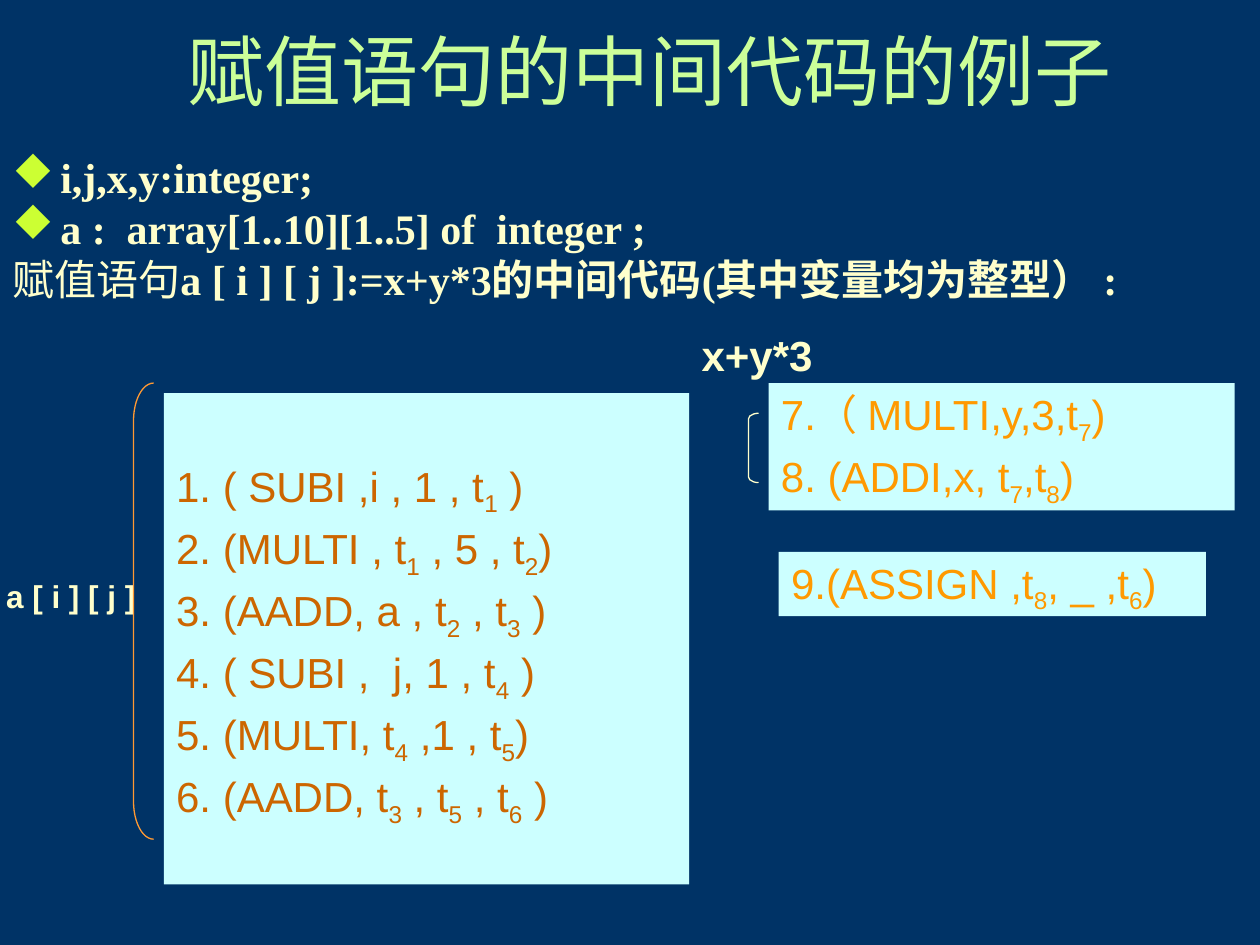
from lxml import etree
from pptx import Presentation
from pptx import util as u
from pptx.dml import color as c
from pptx.enum import shapes, text
from pptx.oxml import ns

COLORS = {
    "navy": "003366",
    "cream": "FFFFCC",
    "lime": "CCFF33",
    "pale_green": "CCFF99",
    "pale_cyan": "CCFFFF",
    "brown": "CC6600",
    "orange": "FF9900",
    "bracket_orange": "FF9933",
}

TITLE = {"name": "Times New Roman", "size": u.Pt(44), "color": "pale_green"}
BODY = {"name": "Times New Roman", "size": u.Pt(24), "color": "cream", "bold": True}
LABEL = {"name": "Arial", "size": u.Pt(24), "color": "cream", "bold": True}
SMALL_LABEL = {**LABEL, "size": u.Pt(18)}
ADDRESS_CODE = {"name": "Arial", "size": u.Pt(24), "color": "brown"}
VALUE_CODE = {**ADDRESS_CODE, "color": "orange"}


def rgb(name):
    return c.RGBColor.from_string(COLORS[name])


class Deck:
    def __init__(self):
        self.presentation = Presentation()
        self.presentation.slide_width = u.Inches(10)
        self.presentation.slide_height = u.Inches(7.5)
        self.slide = None

    def add_slide(self, background):
        self.slide = self.presentation.slides.add_slide(self.presentation.slide_layouts[6])
        fill = self.slide.background.fill
        fill.solid()
        fill.fore_color.rgb = rgb(background)

    def run(self, paragraph, wording, style, subscript=False):
        run = paragraph.add_run()
        run.text = wording
        for key, value in style.items():
            if key == "color":
                run.font.color.rgb = rgb(value)
            else:
                setattr(run.font, key, value)
        if subscript:
            run.font._element.set("baseline", "-25000")

    def line(self, paragraph, wording, style):
        first, *rest = wording.split("~")
        self.run(paragraph, first, style)
        for part in rest:
            self.run(paragraph, part[0], style, subscript=True)
            self.run(paragraph, part[1:], style)

    def paragraphs(self, frame, count, **layout):
        for index in range(count):
            paragraph = frame.add_paragraph() if index else frame.paragraphs[0]
            for key, value in layout.items():
                setattr(paragraph, key, value)
            if index:
                paragraph.space_before = u.Pt(6)
            yield paragraph

    def hang(self, paragraph, bullet):
        properties = paragraph._p.get_or_add_pPr()
        properties.set("marL", str(u.Inches(0.38)))
        properties.set("indent", str(u.Inches(-0.38)))
        if bullet:
            color = etree.SubElement(properties, ns.qn("a:buClr"))
            etree.SubElement(color, ns.qn("a:srgbClr"), val=COLORS["lime"])
            etree.SubElement(properties, ns.qn("a:buFont"), typeface="Wingdings", charset="2")
            etree.SubElement(properties, ns.qn("a:buChar"), char="u")

    def text_box(self, box, wrap=True, anchor=text.MSO_ANCHOR.TOP):
        frame = self.slide.shapes.add_textbox(*map(u.Inches, box)).text_frame
        frame.word_wrap = wrap
        frame.vertical_anchor = anchor
        return frame

    def title(self, box, wording):
        frame = self.text_box(box, anchor=text.MSO_ANCHOR.MIDDLE)
        layout = {"alignment": text.PP_ALIGN.CENTER, "line_spacing": 0.85}
        for paragraph in self.paragraphs(frame, 1, **layout):
            self.run(paragraph, wording, TITLE)

    def declarations(self, box, bulleted, lead, statement):
        frame = self.text_box(box)
        *items, closing = self.paragraphs(frame, len(bulleted) + 1, line_spacing=0.8)
        for paragraph, wording in zip(items, bulleted):
            self.hang(paragraph, bullet=True)
            self.run(paragraph, wording, BODY)
        self.hang(closing, bullet=False)
        self.run(closing, lead, {**BODY, "bold": False})
        self.run(closing, statement, BODY)

    def label(self, box, wording, style):
        frame = self.text_box(box, wrap=False)
        self.run(frame.paragraphs[0], wording, style)

    def code_panel(self, box, lines, style, top_inset=0.05):
        panel = self.slide.shapes.add_shape(shapes.MSO_SHAPE.RECTANGLE, *map(u.Inches, box))
        panel.shadow.inherit = False
        panel.fill.solid()
        panel.fill.fore_color.rgb = rgb("pale_cyan")
        panel.line.fill.background()
        frame = panel.text_frame
        frame.word_wrap = True
        frame.vertical_anchor = text.MSO_ANCHOR.TOP
        frame.margin_top = u.Inches(top_inset)
        layout = {"alignment": text.PP_ALIGN.LEFT, "line_spacing": 0.9}
        for paragraph, wording in zip(self.paragraphs(frame, len(lines), **layout), lines):
            self.line(paragraph, wording, style)

    def bracket(self, box, color, curve):
        bracket = self.slide.shapes.add_shape(shapes.MSO_SHAPE.LEFT_BRACKET, *map(u.Inches, box))
        bracket.shadow.inherit = False
        bracket.fill.background()
        bracket.line.color.rgb = rgb(color)
        bracket.line.width = u.Pt(0.75)
        bracket.adjustments[0] = curve


def main():
    deck = Deck()
    deck.add_slide("navy")
    deck.declarations(
        (0, 1.23, 9.15, 1.65),
        ["i,j,x,y:integer;", "a :  array[1..10][1..5] of  integer ;"],
        "赋值语句",
        "a [ i ] [ j ]:=x+y*3的中间代码(其中变量均为整型） :",
    )
    deck.code_panel(
        (1.3, 3.12, 4.17, 3.9),
        [
            "1. ( SUBI ,i , 1 , t~1 )",
            "2. (MULTI , t~1 , 5 , t~2)",
            "3. (AADD, a , t~2 , t~3 )",
            "4. ( SUBI ,  j, 1 , t~4 )",
            "5. (MULTI, t~4 ,1 , t~5)",
            "6. (AADD, t~3 , t~5 , t~6 )",
        ],
        ADDRESS_CODE,
        top_inset=0.54,
    )
    deck.label((-0.05, 4.53, 1.23, 0.4), "a [ i ] [ j ]", SMALL_LABEL)
    deck.label((5.47, 2.57, 1.08, 0.5), "x+y*3", LABEL)
    deck.code_panel(
        (6.1, 3.04, 3.7, 1.01),
        ["7.（ MULTI,y,3,t~7)", "8. (ADDI,x, t~7,t~8)"],
        VALUE_CODE,
    )
    deck.bracket((1.06, 3.04, 0.16, 3.62), "bracket_orange", 1.88)
    deck.bracket((5.94, 3.28, 0.08, 0.55), "cream", 0.56)
    deck.code_panel((6.18, 4.38, 3.39, 0.51), ["9.(ASSIGN ,t~8, _ ,t~6)"], VALUE_CODE)
    deck.title((1.3, 0.13, 7.72, 0.96), "赋值语句的中间代码的例子")
    deck.presentation.save("out.pptx")


if __name__ == "__main__":
    main()
